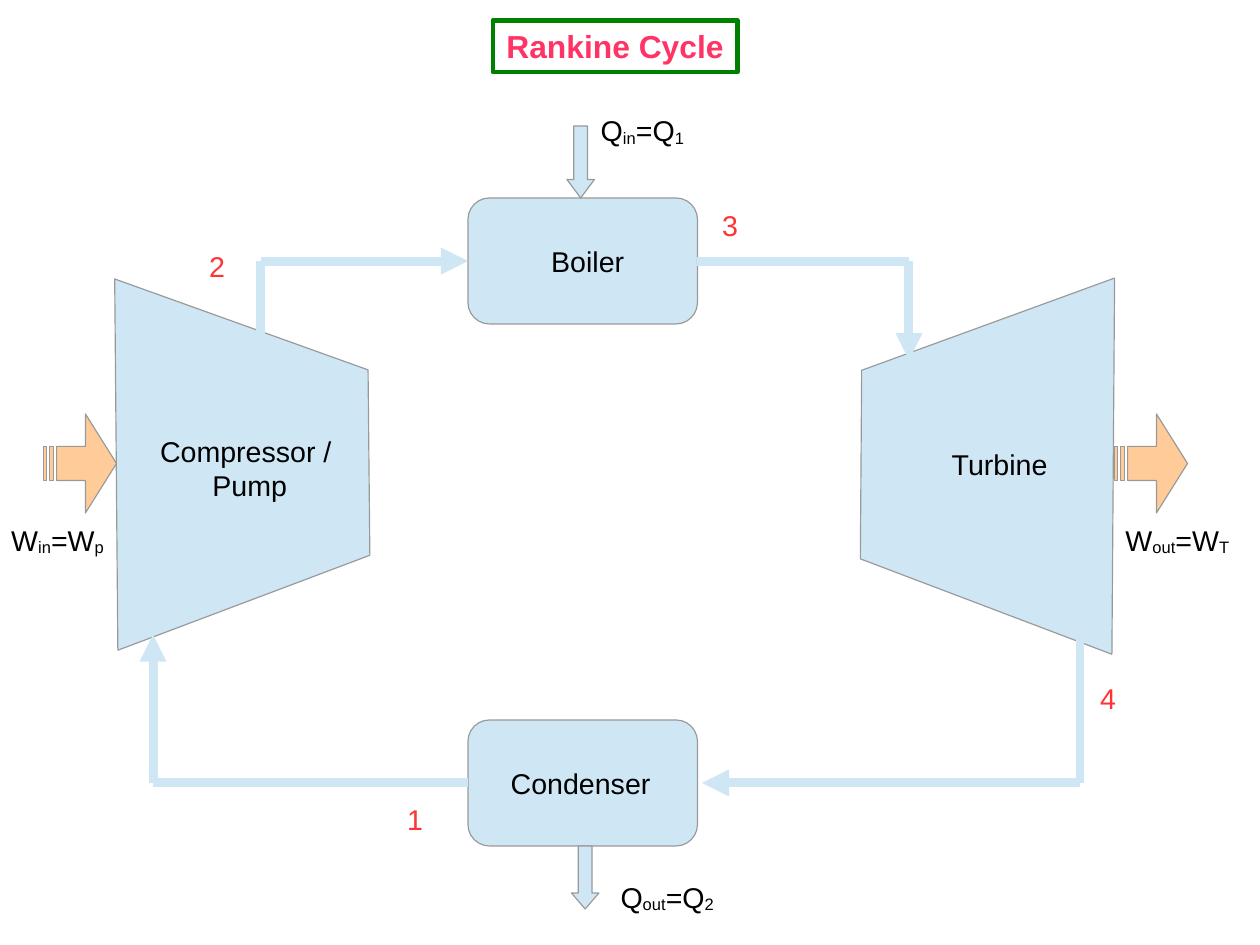
from dataclasses import dataclass
from itertools import pairwise

from lxml import etree
from pptx import Presentation
from pptx import util as u
from pptx.dml.color import RGBColor
from pptx.enum import shapes, text
from pptx.oxml.ns import qn


@dataclass(frozen=True)
class Theme:
    font: str = "Arial"
    size: float = 18
    head: float = 20
    ink: str = "000000"
    mark: str = "FF3333"
    title: str = "FF3366"
    frame: str = "008000"
    water: str = "CFE7F5"
    work: str = "FFCC99"
    edge: str = "999999"
    pipe: float = 5.67
    rim: float = 2.83


class Sheet:
    def __init__(self, slide, theme):
        self.slide = slide
        self.items = slide.shapes
        self.theme = theme

    def place(self, *sizes):
        return [u.Cm(n) for n in sizes]

    def font(self, para, size, color, bold=False):
        font = para.font
        font.name = self.theme.font
        font.size = u.Pt(size)
        font.bold = bold
        font.color.rgb = RGBColor.from_string(color)

    def paint(self, shape, color):
        shape.shadow.inherit = False
        shape.fill.solid()
        shape.fill.fore_color.rgb = RGBColor.from_string(color)
        shape.line.color.rgb = RGBColor.from_string(self.theme.edge)
        shape.line.width = u.Pt(0)

    def title(self, words, *area):
        box = self.items.title
        box.left, box.top, box.width, box.height = self.place(*area)
        box.line.color.rgb = RGBColor.from_string(self.theme.frame)
        box.line.width = u.Pt(self.theme.rim)
        frame = box.text_frame
        frame.text = words
        frame.word_wrap = False
        frame.auto_size = text.MSO_AUTO_SIZE.NONE
        frame.vertical_anchor = text.MSO_ANCHOR.MIDDLE
        frame.margin_left = frame.margin_right = u.Cm(0.3)
        frame.margin_top = frame.margin_bottom = u.Cm(0.18)
        para = frame.paragraphs[0]
        para.alignment = text.PP_ALIGN.CENTER
        self.font(para, self.theme.head, self.theme.title, True)

    def shape(self, kind, area, *adjust):
        item = self.items.add_shape(kind, *self.place(*area))
        for i, value in enumerate(adjust):
            item.adjustments[i] = value
        self.paint(item, self.theme.water)

    def outline(self, color, *loops):
        first, *rest = [[self.place(*p) for p in loop] for loop in loops]
        pen = self.items.build_freeform(*first[0])
        pen.add_line_segments(first[1:])
        for loop in rest:
            pen.move_to(*loop[0])
            pen.add_line_segments(loop[1:])
        self.paint(pen.convert_to_shape(), color)

    def shaft(self, left, mid):
        high, low = mid - 0.38, mid + 0.38
        neck = left + 0.94
        arrow = [(neck, mid - 1.1), (left + 1.63, mid), (neck, mid + 1.1),
                 (neck, low), (left + 0.3, low), (left + 0.3, high), (neck, high)]
        bars = [[(x, high), (x, low), (x + 0.08, low), (x + 0.08, high)]
                for x in (left, left + 0.15)]
        self.outline(self.theme.work, arrow, *bars)

    def pipe(self, *points):
        for start, end in pairwise(points):
            line = self.items.add_connector(
                shapes.MSO_CONNECTOR.STRAIGHT, *self.place(*start, *end))
            line.line.color.rgb = RGBColor.from_string(self.theme.water)
            line.line.width = u.Pt(self.theme.pipe)
            props = line._element.spPr
            if end == points[-1]:
                tip = etree.SubElement(props.find(qn("a:ln")), qn("a:tailEnd"))
                tip.set("type", "triangle")
            etree.SubElement(props, qn("a:effectLst"))

    def label(self, words, left, top, width, color=None, center=False):
        box = self.items.add_textbox(*self.place(left, top, width, 1))
        frame = box.text_frame
        frame.word_wrap = True
        for i, row in enumerate(words.split("\n")):
            para = frame.add_paragraph() if i else frame.paragraphs[0]
            if center:
                para.alignment = text.PP_ALIGN.CENTER
            self.font(para, self.theme.size, color or self.theme.ink)
            for j, part in enumerate(row.split("_")):
                run = para.add_run()
                run.text = part
                if j % 2:
                    run._r.get_or_add_rPr().set("baseline", "-8000")


def main():
    deck = Presentation()
    deck.slide_width, deck.slide_height = u.Cm(28), u.Cm(21)
    theme = Theme()
    sheet = Sheet(deck.slides.add_slide(deck.slide_layouts[5]), theme)
    kinds = shapes.MSO_SHAPE

    sheet.title("Rankine Cycle", 10.95, 0.45, 5.44, 1.15)
    sheet.outline(theme.water, [(2.62, 14.45), (2.55, 6.2), (8.18, 8.22), (8.22, 12.34)])
    sheet.outline(theme.water, [(24.77, 6.18), (24.71, 14.54), (19.12, 12.42), (19.15, 8.23)])
    for top in (4.4, 16):
        sheet.shape(kinds.ROUNDED_RECTANGLE, (10.4, top, 5.1, 2.8), 0.17)
    sheet.shape(kinds.DOWN_ARROW, (12.6, 2.8, 0.61, 1.6), 0.5, 0.67)
    sheet.shape(kinds.DOWN_ARROW, (12.7, 18.8, 0.61, 1.4), 0.5, 0.58)

    sheet.pipe((5.8, 7.8), (5.8, 5.8), (10.4, 5.8))
    sheet.pipe((15.5, 5.8), (20.2, 5.8), (20.2, 8))
    sheet.pipe((24, 14.2), (24, 17.4), (15.6, 17.4))
    sheet.pipe((10.4, 17.4), (3.4, 17.4), (3.4, 14.1))
    for left in (0.96, 24.76):
        sheet.shaft(left, 10.3)

    sheet.label("Compressor / \nPump", 3.1, 9.52, 4.9, center=True)
    for words, left, top, width in (
        ("Turbine", 20.9, 9.8, 3),
        ("Boiler", 12, 5.3, 2.5),
        ("Condenser", 11.1, 16.9, 4),
        ("Q_in_=Q_1", 13.1, 2.39, 2.7),
        ("Q_out_=Q_2", 13.54, 19.43, 2.9),
        ("W_in_=W_p", 0, 11.5, 2.8),
        ("W_out_=W_T", 24.76, 11.5, 3.1),
    ):
        sheet.label(words, left, top, width)
    for words, left, top in (
        ("1", 8.8, 17.7), ("2", 4.4, 5.4), ("3", 15.8, 4.5), ("4", 24.2, 15),
    ):
        sheet.label(words, left, top, 1, theme.mark)
    deck.save("out.pptx")


if __name__ == "__main__":
    main()
